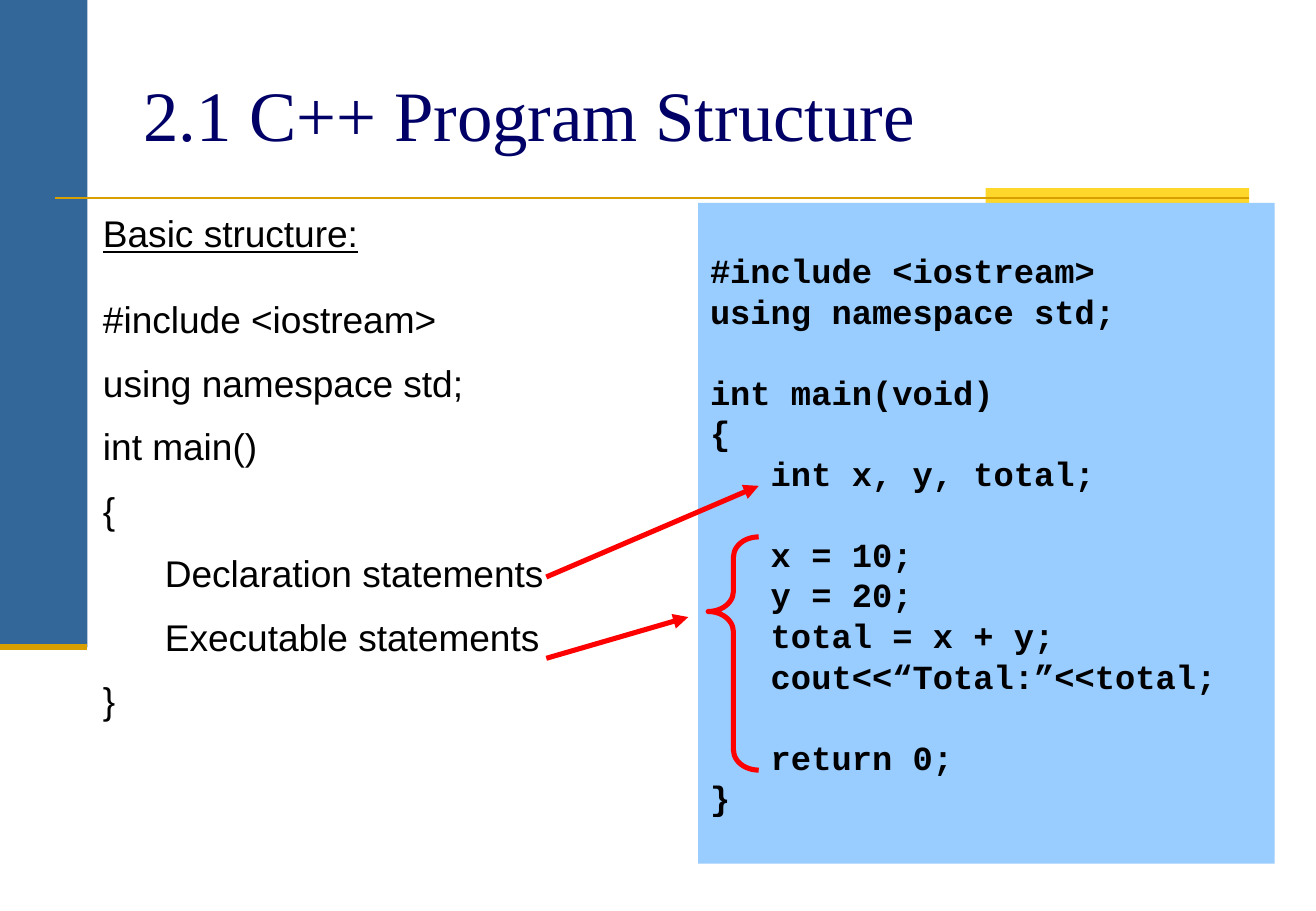
from dataclasses import dataclass

from lxml import etree
from pptx import Presentation
from pptx.dml.color import RGBColor
from pptx.enum.shapes import MSO_CONNECTOR, MSO_SHAPE
from pptx.enum.text import MSO_ANCHOR, MSO_AUTO_SIZE, PP_ALIGN
from pptx.oxml.ns import qn
from pptx.util import Pt

RECTANGLE = MSO_SHAPE.RECTANGLE
LEFT_BRACE = MSO_SHAPE.LEFT_BRACE
STRAIGHT = MSO_CONNECTOR.STRAIGHT
TOP, MIDDLE = MSO_ANCHOR.TOP, MSO_ANCHOR.MIDDLE
LEFT = PP_ALIGN.LEFT
NO_AUTOFIT = MSO_AUTO_SIZE.NONE

SLIDE_WIDTH, SLIDE_HEIGHT = 780.48, 540
NAVY, BLUE, PALE_BLUE = "000066", "336699", "99CCFF"
YELLOW, GOLD, RED, BLACK = "FFD72B", "D89F00", "FF0000", "000000"

BODY_INDENT, STATEMENT_INDENT = 43.1, 79.8
BODY_LINE, BODY_GAP = 21.15, 16.5
CODE_LINE = 24.05


@dataclass
class Block:
    left: float
    top: float
    width: float
    height: float
    fill: str


@dataclass
class Line:
    start: tuple[float, float]
    end: tuple[float, float]
    color: str
    weight: float
    arrow: bool = False


@dataclass
class TextLine:
    text: str
    gap: float = 0
    indent: float = 0
    underline: bool = False


BLOCKS = [
    Block(0, 0, 51.84, 383.76, BLUE),
    Block(584.64, 111.6, 156.24, 14.4, YELLOW),
]
RULES = [
    Line((32.4, 117.36), (740.88, 117.36), GOLD, 1.5),
    Line((0, 383.76), (51.84, 383.76), GOLD, 3.5),
]
ARROWS = [
    Line((324, 390.24), (408.24, 365.76), RED, 3, arrow=True),
    Line((324, 342), (450, 288), RED, 3, arrow=True),
]
CODE_PANEL = Block(414, 120.24, 342, 391.68, PALE_BLUE)

STRUCTURE = [
    TextLine("Basic structure:", indent=BODY_INDENT, underline=True),
    TextLine("#include <iostream>", 29.9, BODY_INDENT),
    TextLine("using namespace std;", BODY_GAP, BODY_INDENT),
    TextLine("int main()", BODY_GAP, BODY_INDENT),
    TextLine("{", BODY_GAP, BODY_INDENT),
    TextLine("Declaration statements", BODY_GAP, STATEMENT_INDENT),
    TextLine("Executable statements", BODY_GAP, STATEMENT_INDENT),
    TextLine("}", BODY_GAP, BODY_INDENT),
]
CODE = [
    TextLine("#include <iostream>"),
    TextLine("using namespace std;"),
    TextLine("int main(void)", CODE_LINE),
    TextLine("{"),
    TextLine("   int x, y, total;"),
    TextLine("   x = 10;", CODE_LINE),
    TextLine("   y = 20;"),
    TextLine("   total = x + y;"),
    TextLine("   cout<<“Total:”<<total;"),
    TextLine("   return 0;", CODE_LINE),
    TextLine("}"),
]


def rgb(color: str) -> RGBColor:
    return RGBColor.from_string(color)


def place(shape, left: float, top: float, width: float, height: float) -> None:
    shape.left, shape.top = Pt(left), Pt(top)
    shape.width, shape.height = Pt(width), Pt(height)


def write_text(shape, lines: list[TextLine], *, font: str, size: float, color: str,
               bold: bool = False, line_height: float | None = None, anchor=TOP,
               margin_left: float = 7.2, margin_top: float = 3.6) -> None:
    frame = shape.text_frame
    frame.word_wrap = True
    frame.auto_size = NO_AUTOFIT
    frame.vertical_anchor = anchor
    frame.margin_left, frame.margin_right = Pt(margin_left), Pt(7.2)
    frame.margin_top, frame.margin_bottom = Pt(margin_top), Pt(3.6)
    for index, line in enumerate(lines):
        paragraph = frame.add_paragraph() if index else frame.paragraphs[0]
        properties = paragraph._p.get_or_add_pPr()
        properties.set("marL", str(int(Pt(line.indent))))
        properties.set("indent", "0")
        etree.SubElement(properties, qn("a:buNone"))
        paragraph.alignment = LEFT
        paragraph.space_before = Pt(line.gap)
        if line_height:
            paragraph.line_spacing = Pt(line_height)
        run = paragraph.add_run()
        run.text = line.text
        run.font.name, run.font.size = font, Pt(size)
        run.font.bold, run.font.underline = bold, line.underline
        run.font.color.rgb = rgb(color)


def draw_block(slide, block: Block):
    shape = slide.shapes.add_shape(RECTANGLE, Pt(block.left), Pt(block.top),
                                   Pt(block.width), Pt(block.height))
    shape.shadow.inherit = False
    shape.fill.solid()
    shape.fill.fore_color.rgb = rgb(block.fill)
    shape.line.fill.background()
    return shape


def draw_line(slide, line: Line) -> None:
    points = [Pt(value) for value in (*line.start, *line.end)]
    connector = slide.shapes.add_connector(STRAIGHT, *points)
    connector.line.color.rgb = rgb(line.color)
    connector.line.width = Pt(line.weight)
    if line.arrow:
        etree.SubElement(connector.line._get_or_add_ln(), qn("a:tailEnd"), type="triangle")
    etree.SubElement(connector._element.spPr, qn("a:effectLst"))


def draw_brace(slide) -> None:
    brace = slide.shapes.add_shape(LEFT_BRACE, Pt(420), Pt(318.24), Pt(30), Pt(138.24))
    brace.shadow.inherit = False
    brace.adjustments[0] = 0.4
    brace.adjustments[1] = 0.32
    brace.fill.background()
    brace.line.color.rgb = rgb(RED)
    brace.line.width = Pt(3)


def main() -> None:
    presentation = Presentation()
    presentation.slide_width = Pt(SLIDE_WIDTH)
    presentation.slide_height = Pt(SLIDE_HEIGHT)
    slide = presentation.slides.add_slide(presentation.slide_layouts[1])

    # Frame decoration
    for block in BLOCKS:
        draw_block(slide, block)
    for rule in RULES:
        draw_line(slide, rule)

    # Title and basic structure
    title, body = slide.shapes.title, slide.placeholders[1]
    place(title, 77.76, 21.6, 663.12, 90)
    write_text(title, [TextLine("2.1 C++ Program Structure")], font="Times New Roman",
               size=42, color=NAVY, anchor=MIDDLE, margin_top=5.1)
    place(body, 18, 126, 663.12, 324)
    write_text(body, STRUCTURE, font="Arial", size=22, color=BLACK,
               line_height=BODY_LINE, margin_left=0, margin_top=4)

    # Example program
    panel = draw_block(slide, CODE_PANEL)
    write_text(panel, CODE, font="Courier New", size=20, color=BLACK, bold=True,
               line_height=CODE_LINE, margin_top=27.8)

    # Links from the structure to the example
    draw_brace(slide)
    for arrow in ARROWS:
        draw_line(slide, arrow)

    presentation.save("out.pptx")


if __name__ == "__main__":
    main()
